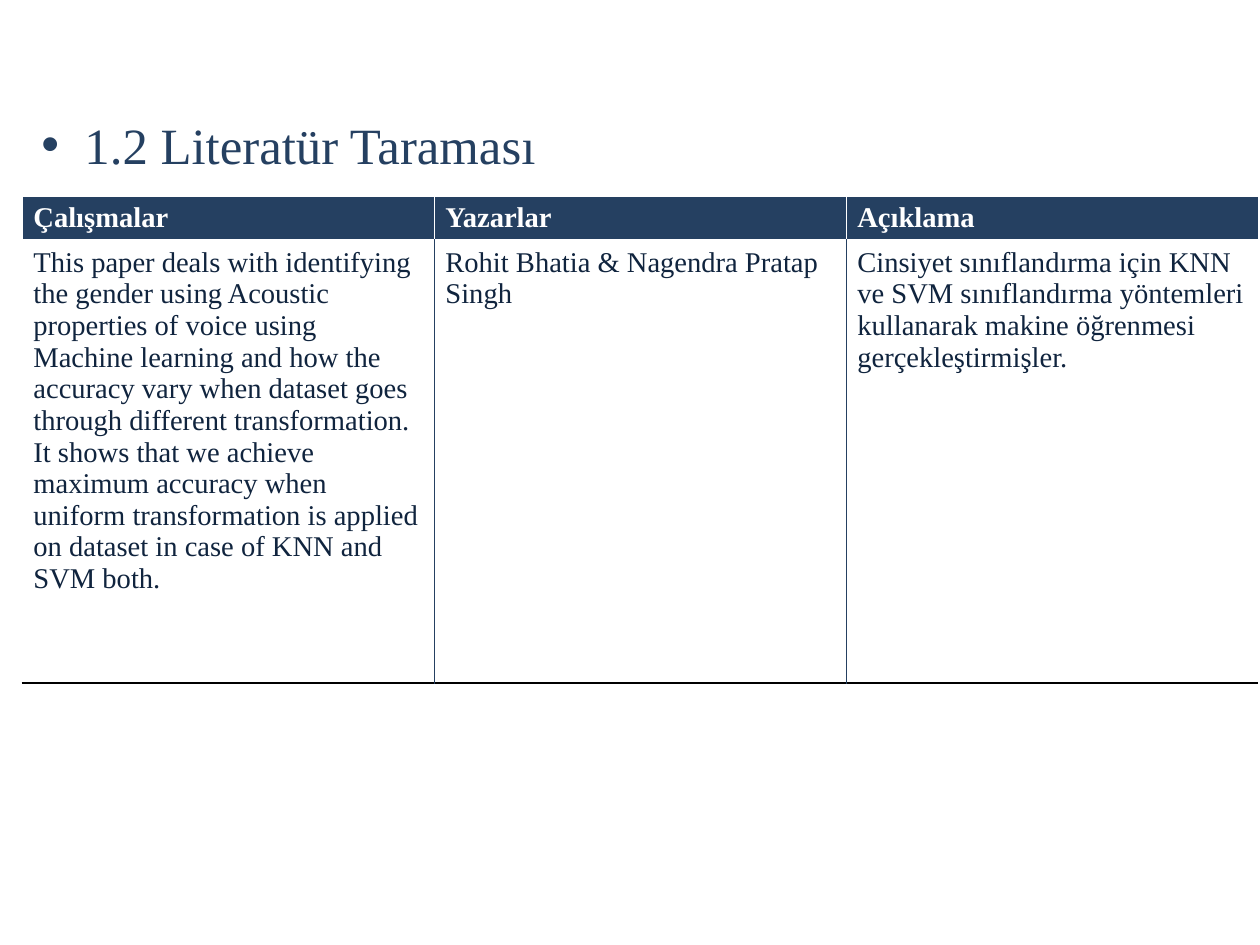
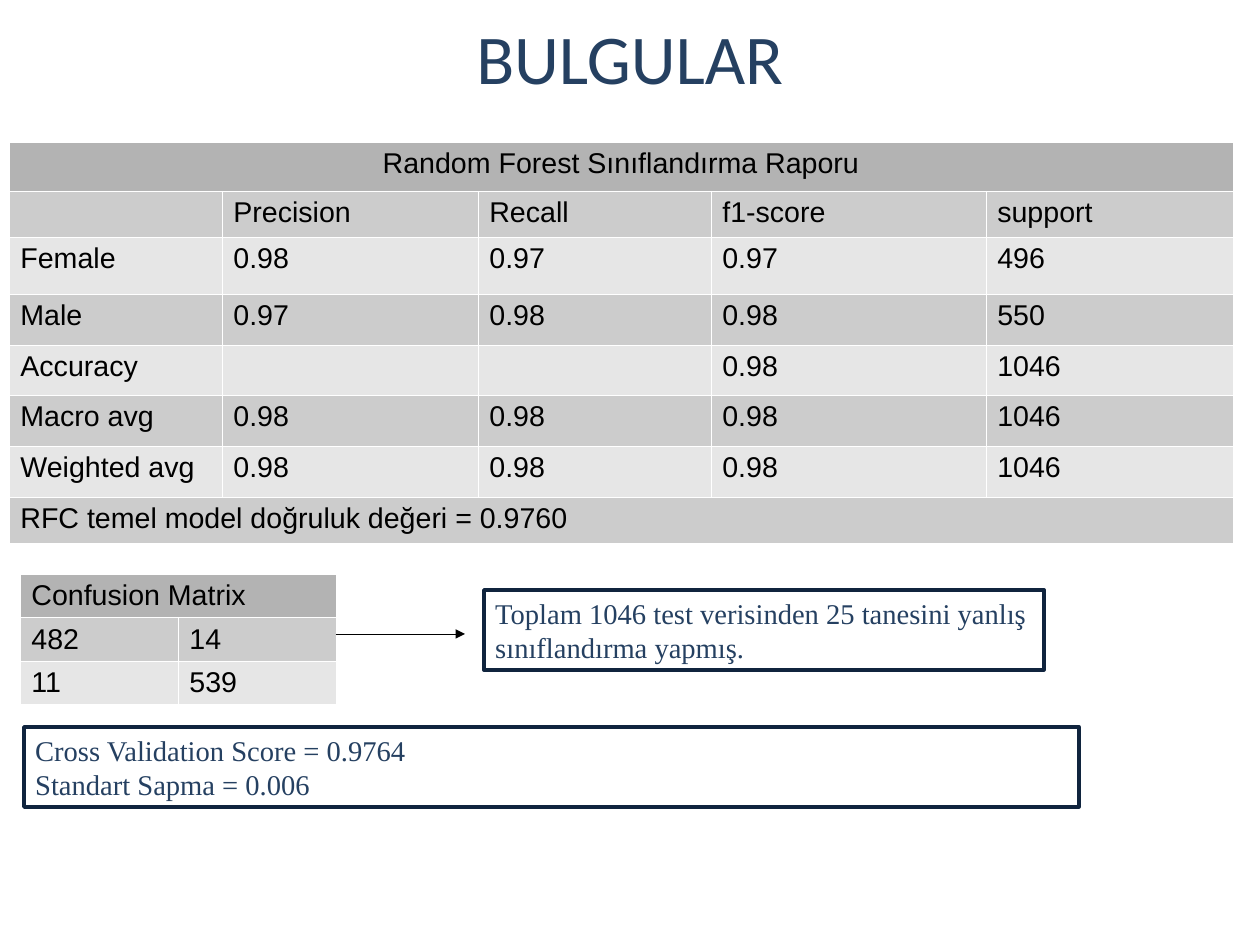
"""Build two slides on voice gender classification: literature review and findings."""
from lxml.etree import SubElement
from pptx import Presentation
from pptx.dml.color import RGBColor
from pptx.enum.shapes import MSO_CONNECTOR, MSO_SHAPE
from pptx.enum.text import MSO_ANCHOR, MSO_AUTO_SIZE, PP_ALIGN
from pptx.oxml.ns import qn
from pptx.util import Pt

PX = 8000
SLIDE_SIZE = (1260, 945)
TITLE_ONLY = 5
COLORS = {"navy": "254061", "ink": "10243E", "white": "FFFFFF", "black": "000000",
          "heading": "B3B3B3", "dark": "CCCCCC", "light": "E6E6E6"}
SERIF, SANS, TITLE_FONT = "Times New Roman", "Arial", "Calibri"

LITERATURE = [
    ["Çalışmalar", "Yazarlar", "Açıklama"],
    ["This paper deals with identifying the gender using Acoustic properties of voice "
     "using Machine learning and how the accuracy vary when dataset goes through "
     "different transformation. It shows that we achieve maximum accuracy when uniform "
     "transformation is applied on dataset in case of KNN and SVM both.",
     "Rohit Bhatia & Nagendra Pratap\nSingh",
     "Cinsiyet sınıflandırma için KNN ve SVM sınıflandırma yöntemleri kullanarak "
     "makine öğrenmesi gerçekleştirmişler."],
]
REPORT = [
    ["Random Forest Sınıflandırma Raporu"],
    ["", "Precision", "Recall", "f1-score", "support"],
    ["Female", "0.98", "0.97", "0.97", "496"],
    ["Male", "0.97", "0.98", "0.98", "550"],
    ["Accuracy", "", "", "0.98", "1046"],
    ["Macro avg", "0.98", "0.98", "0.98", "1046"],
    ["Weighted avg", "0.98", "0.98", "0.98", "1046"],
    ["RFC temel model doğruluk değeri = 0.9760"],
]
CONFUSION = [["Confusion Matrix"], ["482", "14"], ["11", "539"]]
NOTES = [
    ((484, 590, 560, 80),
     "Toplam 1046 test verisinden 25 tanesini yanlış sınıflandırma yapmış."),
    ((24, 727, 1055, 80), "Cross Validation Score = 0.9764\nStandart Sapma = 0.006"),
]


def px(*lengths):
    return [length * PX for length in lengths]


def rgb(name):
    return RGBColor.from_string(COLORS[name])


def write(frame, text, font=SERIF, size=18, color="navy", bold=False,
          align=PP_ALIGN.LEFT, bullet=None):
    for index, line in enumerate(text.split("\n")):
        para = frame.paragraphs[0] if index == 0 else frame.add_paragraph()
        para.alignment = align
        if bullet:
            add_bullet(para, bullet, color)
        span = para.add_run()
        span.text = line
        span.font.name, span.font.size, span.font.bold = font, Pt(size), bold
        span.font.color.rgb = rgb(color)


def add_bullet(para, character, color, indent=43):
    properties = para._p.get_or_add_pPr()
    properties.set("marL", str(indent * PX))
    properties.set("indent", str(-indent * PX))
    bullet_color = SubElement(properties, qn("a:buClr"))
    SubElement(bullet_color, qn("a:srgbClr"), val=COLORS[color])
    SubElement(properties, qn("a:buFont"), typeface=SANS)
    SubElement(properties, qn("a:buChar"), char=character)


def add_title(page, text, place, anchor, **style):
    title = page.shapes.title
    title.left, title.top, title.width, title.height = px(*place)
    title.text_frame.auto_size = MSO_AUTO_SIZE.NONE
    title.text_frame.vertical_anchor = anchor
    write(title.text_frame, text, **style)


def set_borders(cell, **sides):
    properties = cell._tc.get_or_add_tcPr()
    for side in "LRTB":
        color, width = sides[side]
        line = SubElement(properties, qn(f"a:ln{side}"), w=str(int(Pt(width))))
        fill = SubElement(line, qn("a:solidFill"))
        SubElement(fill, qn("a:srgbClr"), val=COLORS[color])


def add_table(page, left, top, widths, heights):
    size = px(left, top, sum(widths), sum(heights))
    table = page.shapes.add_table(len(heights), len(widths), *size).table
    table.first_row = table.horz_banding = False
    for column, width in zip(table.columns, widths):
        column.width = width * PX
    for row, height in zip(table.rows, heights):
        row.height = height * PX
    return table


def add_literature_table(page):
    table = add_table(page, 22, 196, [412] * 3, [45, 442])
    last = len(LITERATURE[0]) - 1
    thin, thick = ("white", 0.5), ("white", 3)
    divider, base = ("navy", 0.5), ("black", 0.96)
    for column, (heading, detail) in enumerate(zip(*LITERATURE)):
        cell = table.cell(0, column)
        set_borders(cell, L=thin, R=thin, T=thin, B=thick)
        cell.fill.solid()
        cell.fill.fore_color.rgb = rgb("navy")
        write(cell.text_frame, heading, color="white", bold=True)
        cell = table.cell(1, column)
        set_borders(cell, L=divider if column else thin,
                    R=divider if column < last else thin, T=thick, B=base)
        cell.fill.background()
        write(cell.text_frame, detail, color="ink")


def add_gray_table(page, left, top, widths, heights, rows, heading_align=PP_ALIGN.LEFT):
    table = add_table(page, left, top, widths, heights)
    hairline = ("white", 0.06)
    for index, values in enumerate(rows):
        shade = "heading" if index == 0 else "dark" if index % 2 else "light"
        for column in range(len(widths)):
            cell = table.cell(index, column)
            set_borders(cell, **dict.fromkeys("LRTB", hairline))
            cell.fill.solid()
            cell.fill.fore_color.rgb = rgb(shade)
        if len(values) == 1:
            table.cell(index, 0).merge(table.cell(index, len(widths) - 1))
        for column, value in enumerate(values):
            if value:
                write(table.cell(index, column).text_frame, value, font=SANS, color="black",
                      align=PP_ALIGN.LEFT if index else heading_align)


def add_arrow(page, *ends):
    arrow = page.shapes.add_connector(MSO_CONNECTOR.STRAIGHT, *px(*ends))
    arrow.line.color.rgb = rgb("black")
    arrow.line.width = Pt(0.1)
    SubElement(arrow.line._get_or_add_ln(), qn("a:tailEnd"), type="triangle")
    SubElement(arrow._element.spPr, qn("a:effectLst"))


def add_note(page, place, text):
    box = page.shapes.add_shape(MSO_SHAPE.RECTANGLE, *px(*place))
    box.shadow.inherit = False
    box.fill.background()
    box.line.color.rgb = rgb("ink")
    box.line.width = Pt(2.25)
    box.text_frame.word_wrap = True
    box.text_frame.vertical_anchor = MSO_ANCHOR.TOP
    write(box.text_frame, text)


def main():
    deck = Presentation()
    deck.slide_width, deck.slide_height = px(*SLIDE_SIZE)
    layout = deck.slide_layouts[TITLE_ONLY]

    page = deck.slides.add_slide(layout)
    add_title(page, "1.2 Literatür Taraması", (30, 108, 1198, 76), MSO_ANCHOR.TOP,
              size=32, bullet="•")
    add_literature_table(page)

    page = deck.slides.add_slide(layout)
    add_title(page, "BULGULAR", (0, 0, 1260, 114), MSO_ANCHOR.MIDDLE,
              font=TITLE_FONT, size=44, align=PP_ALIGN.CENTER)
    add_gray_table(page, 9, 142, [213, 256, 233, 275, 247],
                   [49, 44, 57, 51, 50, 51, 51, 46], REPORT, PP_ALIGN.CENTER)
    add_gray_table(page, 20, 574, [158] * 2, [43] * 3, CONFUSION)
    add_arrow(page, 336, 634, 465, 634)
    for place, text in NOTES:
        add_note(page, place, text)

    deck.save("out.pptx")


if __name__ == "__main__":
    main()
